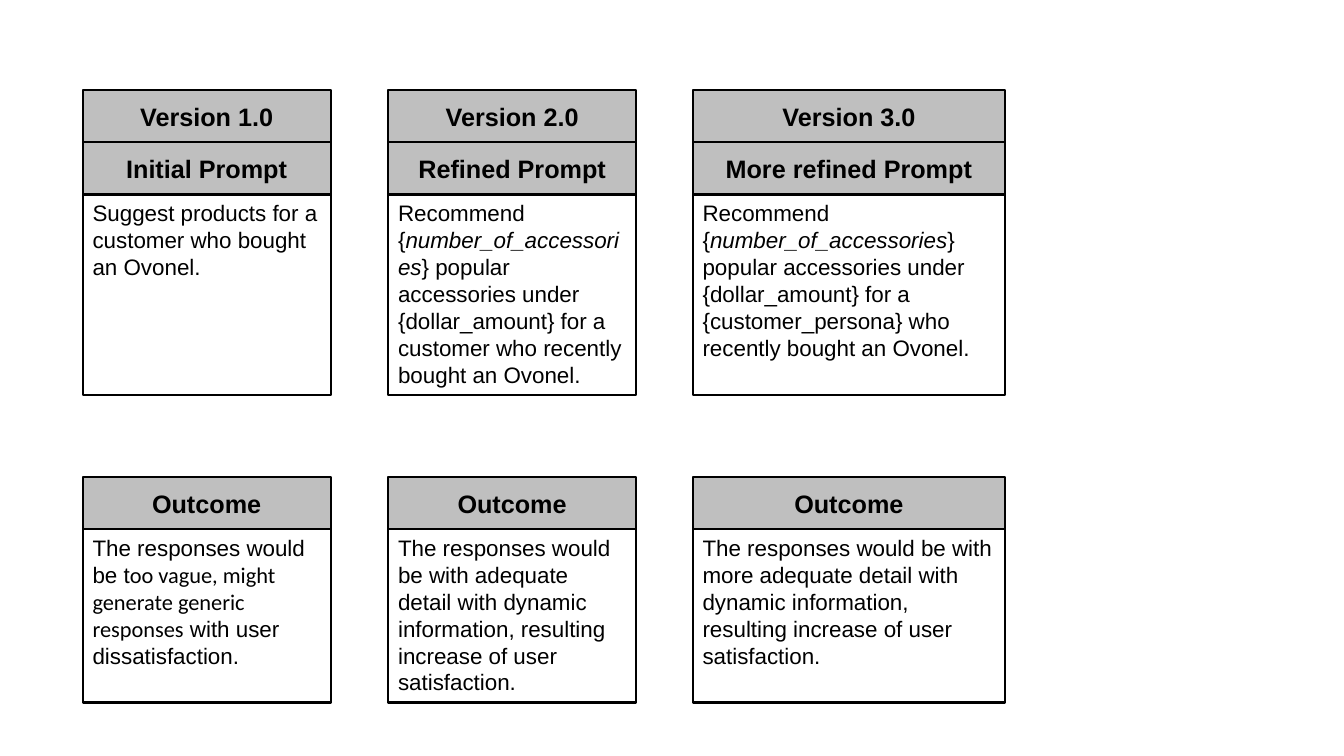
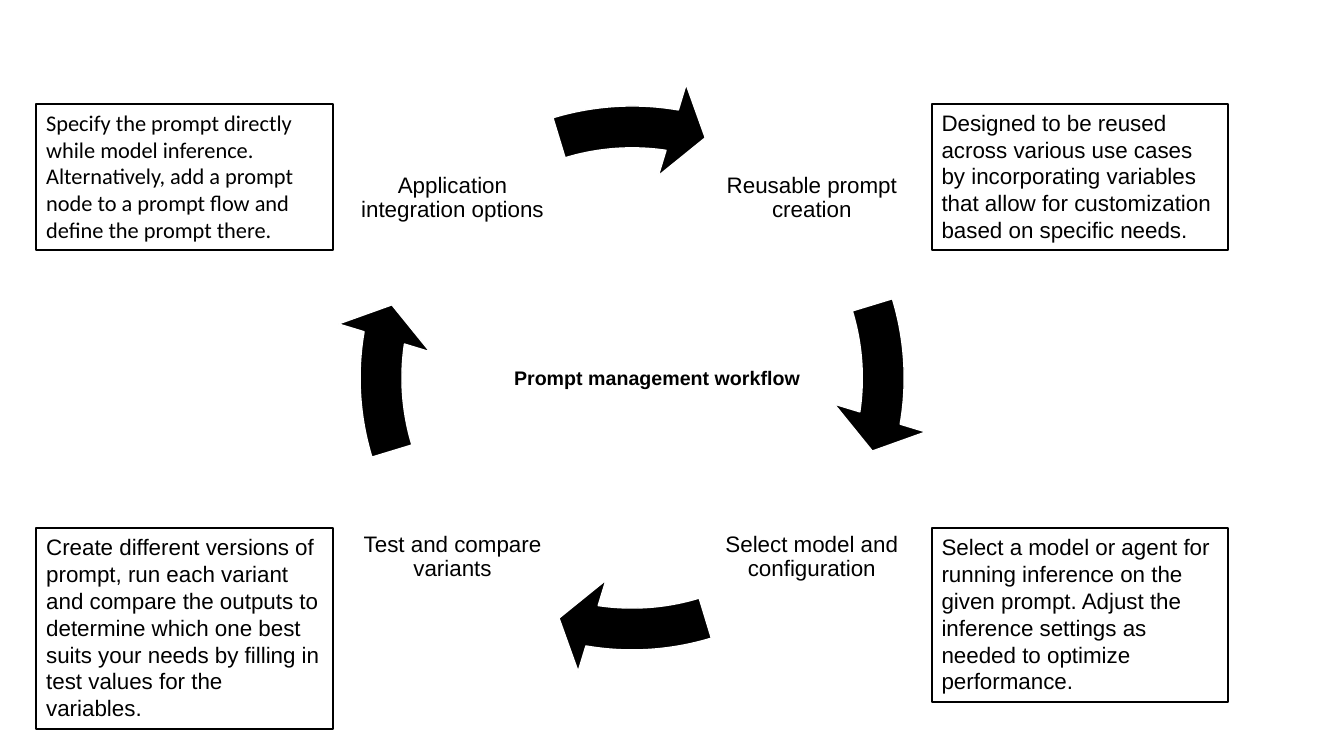
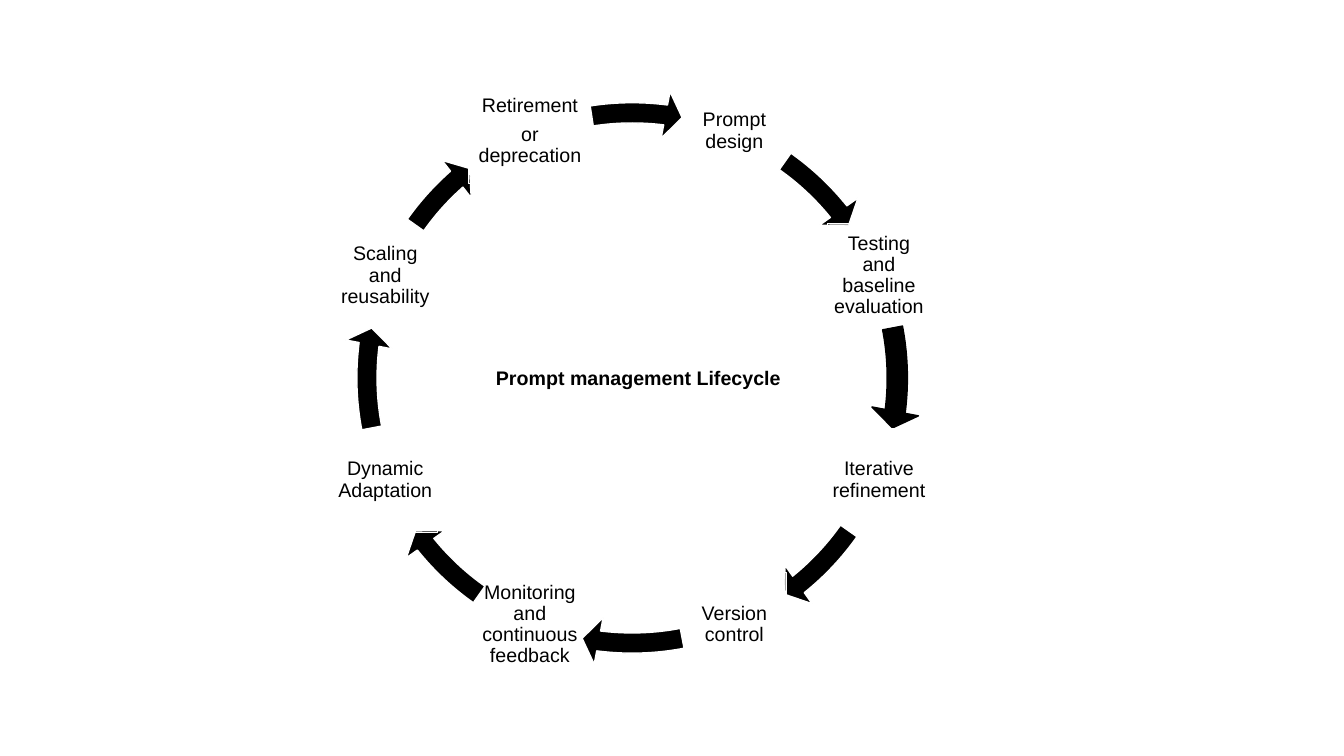
from math import cos, radians, sin

from pptx import Presentation
from pptx.dml.color import RGBColor
from pptx.enum.shapes import MSO_SHAPE
from pptx.enum.text import MSO_ANCHOR, PP_ALIGN
from pptx.util import Inches, Pt

COLORS = {"ink": "000000", "header": "BFBFBF", "paper": "FFFFFF"}
FONT = "Arial"
ALT_FONT = "Calibri"

HEADER_H = 0.52
PROMPT_H, OUTCOME_H = 1.99, 1.72
PROMPT_TOP, OUTCOME_TOP = 0.89, 4.73
CENTER = (6.27, 3.75)

VARIABLE = ("number_of_accessories", {"italic": True})
VERSIONS = [
    (0.82, 2.46, "Version 1.0", "Initial Prompt",
     ["Suggest products for a customer who bought an Ovonel."],
     ["The responses would be t",
      ("oo vague, might generate generic responses", {"font": ALT_FONT}),
      " with user dissatisfaction."]),
    (3.85, 2.46, "Version 2.0", "Refined Prompt",
     ["Recommend {", VARIABLE,
      "} popular accessories under {dollar_amount} for a customer who "
      "recently bought an Ovonel."],
     ["The responses would be with adequate detail with dynamic information, "
      "resulting increase of user satisfaction."]),
    (6.87, 3.1, "Version 3.0", "More refined Prompt",
     ["Recommend {", VARIABLE,
      "} popular accessories under {dollar_amount} for a {customer_persona} "
      "who recently bought an Ovonel."],
     ["The responses would be with more adequate detail with dynamic "
      "information, resulting increase of user satisfaction."]),
]

WORKFLOW = ["Reusable prompt creation", "Select model and configuration",
            "Test and compare variants", "Application integration options"]
WORKFLOW_NOTES = [
    (9.24, 1.03, 1.45, FONT,
     "Designed to be reused across various use cases by incorporating "
     "variables that allow for customization based on specific needs."),
    (9.24, 5.24, 1.72, FONT,
     "Select a model or agent for running inference on the given prompt. "
     "Adjust the inference settings as needed to optimize performance."),
    (0.36, 5.24, 1.99, FONT,
     "Create different versions of prompt, run each variant and compare the "
     "outputs to determine which one best suits your needs by filling in test "
     "values for the variables."),
    (0.36, 1.03, 1.45, ALT_FONT,
     "Specify the prompt directly while model inference. Alternatively, add a "
     "prompt node to a prompt flow and define the prompt there."),
]

LIFECYCLE = ["Prompt design", "Testing and baseline evaluation",
             "Iterative refinement", "Version control",
             "Monitoring and continuous feedback", "Dynamic Adaptation",
             "Scaling and reusability", "Retirement\nor deprecation"]


def rgb(name):
    return RGBColor.from_string(COLORS[name])


def write(sp, paragraphs, size=16, bold=False, font=FONT, align=PP_ALIGN.LEFT,
          anchor=MSO_ANCHOR.TOP, inset=None, spacing=None, after=None):
    """Fill sp with paragraphs, each a list of strings or (string, format)."""
    tf = sp.text_frame
    tf.word_wrap = True
    tf.vertical_anchor = anchor
    if inset is not None:
        tf.margin_left = tf.margin_right = Inches(inset)
        tf.margin_top = tf.margin_bottom = Inches(inset)
    for i, runs in enumerate(paragraphs):
        p = tf.add_paragraph() if i else tf.paragraphs[0]
        p.alignment = align
        if spacing:
            p.line_spacing = spacing
        if after:
            p.space_after = Pt(after)
        for run in runs:
            text, fmt = (run, {}) if isinstance(run, str) else run
            r = p.add_run()
            r.text = text
            r.font.size = Pt(size)
            r.font.bold = bold
            r.font.italic = fmt.get("italic", False)
            r.font.name = fmt.get("font", font)
            r.font.color.rgb = rgb("ink")


def add_shape(slide, kind, box, fill=None, line=None, width=1.5):
    sp = slide.shapes.add_shape(kind, *map(Inches, box))
    sp.shadow.inherit = False
    if fill:
        sp.fill.solid()
        sp.fill.fore_color.rgb = rgb(fill)
    else:
        sp.fill.background()
    if line:
        sp.line.color.rgb = rgb(line)
        sp.line.width = Pt(width)
    else:
        sp.line.fill.background()
    return sp


def add_header(slide, box, text):
    sp = add_shape(slide, MSO_SHAPE.RECTANGLE, box, "header", "ink")
    write(sp, [[text]], size=18, bold=True, align=PP_ALIGN.CENTER,
          anchor=MSO_ANCHOR.MIDDLE)


def add_body(slide, box, runs, font=FONT):
    sp = add_shape(slide, MSO_SHAPE.RECTANGLE, box, line="ink")
    write(sp, [runs], font=font)


def add_card(slide, x, y, w, headers, runs, body_h):
    """Stack header bars and a framed body below them."""
    for i, text in enumerate(headers):
        add_header(slide, (x, y + i * HEADER_H, w, HEADER_H), text)
    add_body(slide, (x, y + len(headers) * HEADER_H, w, body_h), runs)


def add_title(slide, x, text):
    sp = slide.shapes.add_textbox(*map(Inches, (x, 3.58, 3.91, 0.34)))
    write(sp, [[text]], size=14, bold=True)


def add_label(slide, angle, radius, w, h, text, size, line):
    """Centre a label on the ring, at an angle clockwise from the right."""
    cx = CENTER[0] + radius * cos(radians(angle))
    cy = CENTER[1] + radius * sin(radians(angle))
    sp = add_shape(slide, MSO_SHAPE.RECTANGLE, (cx - w / 2, cy - h / 2, w, h),
                   line=line, width=0.75)
    write(sp, [[part] for part in text.split("\n")], size=size,
          align=PP_ALIGN.CENTER, anchor=MSO_ANCHOR.MIDDLE, inset=0.02,
          spacing=0.9, after=5)


def add_arc_arrow(slide, diameter, start, end, band, head_angle, head,
                  line="paper"):
    """Draw an arrow along the ring; angles are in degrees."""
    box = (CENTER[0] - diameter / 2, CENTER[1] - diameter / 2,
           diameter, diameter)
    sp = add_shape(slide, MSO_SHAPE.CIRCULAR_ARROW, box, "ink", line, 1)
    degree = 0.6
    values = (band, head_angle * degree, end % 360 * degree,
              start % 360 * degree, head)
    for i, value in enumerate(values):
        sp.adjustments[i] = value


def build_versions(slide):
    for x, w, version, title, prompt, outcome in VERSIONS:
        add_card(slide, x, PROMPT_TOP, w, [version, title], prompt, PROMPT_H)
        add_card(slide, x, OUTCOME_TOP, w, ["Outcome"], outcome, OUTCOME_H)


def build_workflow(slide):
    for i, text in enumerate(WORKFLOW):
        angle = -45 + 90 * i
        add_label(slide, angle, 2.52, 2.1, 2.1, text, 16, None)
        add_arc_arrow(slide, 5.93, angle + 28.07, angle + 54.18,
                      0.07, 7.75, 0.08)
    for x, y, h, font, text in WORKFLOW_NOTES:
        add_body(slide, (x, y, 2.94, h), [text], font)
    add_title(slide, 5, "Prompt management workflow")


def build_lifecycle(slide):
    sweeps = [(12.73, 28.65), (11.63, 29.75)] * 4
    sweeps[6] = (12.73, 26.08)
    sweeps[7] = (13.74, 29.75)
    for i, (text, (start, end)) in enumerate(zip(LIFECYCLE, sweeps)):
        angle = -67.5 + 45 * i
        w = 1.22 if "\n" in text else 1.03
        add_label(slide, angle, 2.65, w, 1.03, text, 14, "paper")
        add_arc_arrow(slide, 5.73, angle + start, angle + end,
                      0.035, 3.62, 0.041, "ink" if i == 1 else "paper")
    add_title(slide, 4.82, "Prompt management Lifecycle")


def main():
    prs = Presentation()
    prs.slide_width, prs.slide_height = Inches(13.33), Inches(7.5)
    for build in (build_versions, build_workflow, build_lifecycle):
        build(prs.slides.add_slide(prs.slide_layouts[6]))
    prs.save("out.pptx")


if __name__ == "__main__":
    main()
